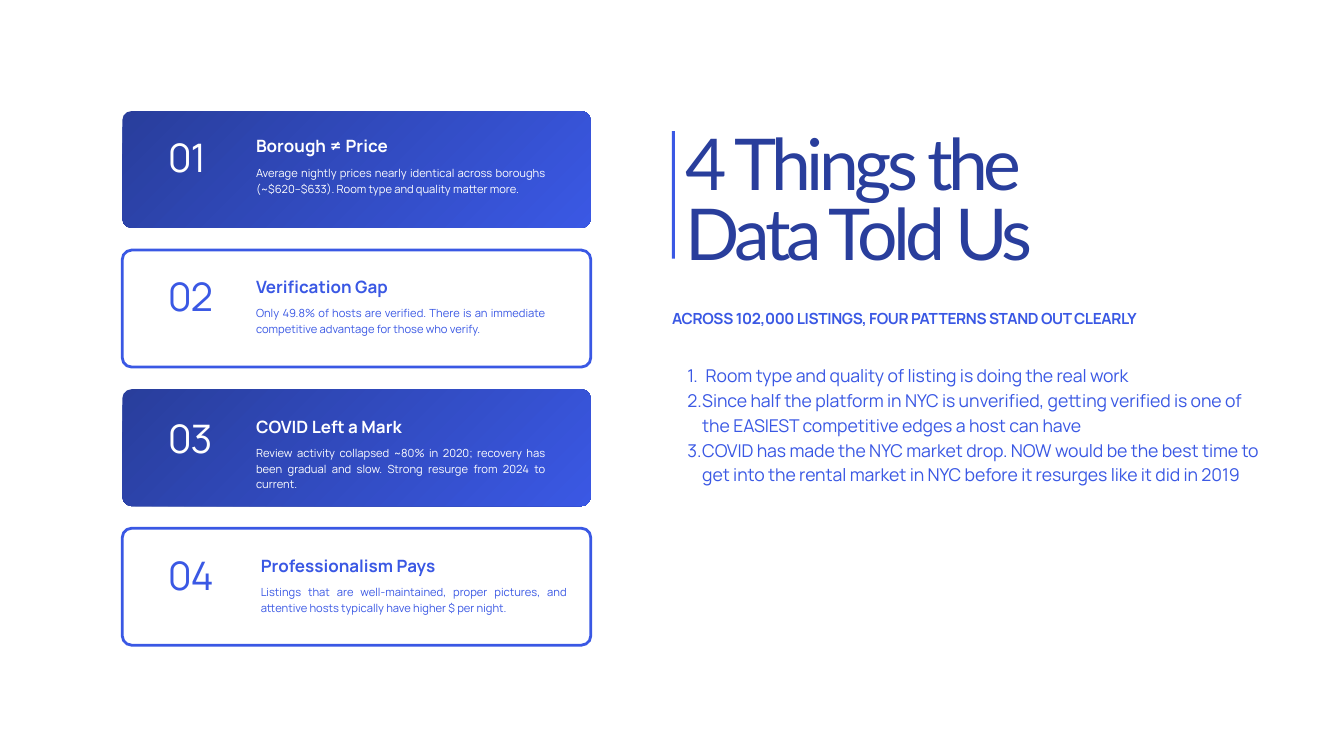
from dataclasses import dataclass

from lxml import etree
from pptx import Presentation
from pptx.dml.color import RGBColor
from pptx.enum.shapes import MSO_SHAPE
from pptx.enum.text import MSO_ANCHOR, MSO_AUTO_SIZE, PP_ALIGN
from pptx.oxml.ns import qn
from pptx.util import Pt

RECTANGLE = MSO_SHAPE.RECTANGLE
ROUNDED = MSO_SHAPE.ROUNDED_RECTANGLE
TOP = MSO_ANCHOR.TOP
NO_AUTOFIT = MSO_AUTO_SIZE.NONE
LEFT = PP_ALIGN.LEFT
JUSTIFY = PP_ALIGN.JUSTIFY

COLORS = {"navy": "293E9C", "blue": "3A58E4", "white": "FFFFFF"}


def rgb(name):
    return RGBColor.from_string(COLORS[name])


@dataclass
class TextStyle:
    size: float
    leading: float
    color: str = "blue"
    font: str = "Manrope"
    bold: bool = False
    tracking: float = 0
    align: PP_ALIGN = LEFT


@dataclass
class Card:
    number: str
    heading: str
    body: str
    filled: bool
    number_offset: float
    heading_offset: float
    text_left: float = 274.3
    heading_width: float = 248.4
    body_width: float = 310.3


class SlideBuilder:
    def __init__(self, slide):
        self.slide = slide

    def place(self, shape, left, top, width, height):
        shape.left, shape.top = Pt(left), Pt(top)
        shape.width, shape.height = Pt(width), Pt(height)

    def set_text(self, shape, paragraphs, style, numbered=False):
        frame = shape.text_frame
        frame.word_wrap = True
        frame.auto_size = NO_AUTOFIT
        frame.vertical_anchor = TOP
        frame.margin_left = frame.margin_right = 0
        frame.margin_top = frame.margin_bottom = 0
        for index, wording in enumerate(paragraphs):
            paragraph = frame.paragraphs[0] if index == 0 else frame.add_paragraph()
            if numbered:
                self.number_paragraph(paragraph)
            paragraph.alignment = style.align
            paragraph.line_spacing = Pt(style.leading)
            run = paragraph.add_run()
            run.text = wording
            run.font.name = style.font
            run.font.size = Pt(style.size)
            run.font.bold = style.bold
            run.font.color.rgb = rgb(style.color)
            if style.tracking:
                run._r.get_or_add_rPr().set("spc", str(round(style.tracking * 100)))

    def number_paragraph(self, paragraph):
        """Give the paragraph an automatic number and a hanging indent."""
        properties = paragraph._p.get_or_add_pPr()
        properties.set("marL", str(Pt(32.4)))
        properties.set("indent", str(Pt(-16)))
        etree.SubElement(properties, qn("a:buAutoNum"), type="arabicPeriod")

    def title(self, wording, box, style):
        placeholder = self.slide.shapes.title
        self.place(placeholder, *box)
        self.set_text(placeholder, [wording], style)

    def text(self, paragraphs, box, style, numbered=False):
        textbox = self.slide.shapes.add_textbox(*map(Pt, box))
        self.set_text(textbox, paragraphs, style, numbered)

    def bar(self, box):
        bar = self.slide.shapes.add_shape(RECTANGLE, *map(Pt, box))
        bar.shadow.inherit = False
        bar.fill.solid()
        bar.fill.fore_color.rgb = rgb("blue")
        bar.line.fill.background()

    def panel(self, box, filled):
        panel = self.slide.shapes.add_shape(ROUNDED, *map(Pt, box))
        panel.adjustments[0] = 0.08
        panel.shadow.inherit = False
        if filled:
            panel.fill.gradient()
            panel.fill.gradient_angle = 315
            for stop, color, position in zip(
                panel.fill.gradient_stops, ("navy", "blue"), (0, 1)
            ):
                stop.color.rgb = rgb(color)
                stop.position = position
            panel.line.fill.background()
        else:
            panel.fill.background()
            panel.line.color.rgb = rgb("blue")
            panel.line.width = Pt(3)

    def card(self, card, top):
        color = "white" if card.filled else "blue"
        heading_top = top + card.heading_offset
        self.panel((131, top, 502, 125.3), card.filled)
        self.text(
            [card.heading],
            (card.text_left, heading_top, card.heading_width, 25),
            TextStyle(18.2, 27.7, color, bold=True, align=JUSTIFY),
        )
        self.text(
            [card.body],
            (card.text_left, heading_top + 36, card.body_width, 49),
            TextStyle(12, 16.8, color, align=JUSTIFY),
        )
        self.text(
            [card.number],
            (180, top + card.number_offset, 72, 45.4),
            TextStyle(42.1, 37.9, color, tracking=-1.3),
        )


CARDS = [
    Card(
        "01", "Borough ≠ Price",
        "Average nightly prices nearly identical across boroughs (~$620–$633). "
        "Room type and quality matter more.",
        True, 36.5, 20.8,
    ),
    Card(
        "02", "Verification Gap",
        "Only 49.8% of hosts are verified. There is an immediate competitive "
        "advantage for those who verify.",
        False, 35.8, 22.2,
    ),
    Card(
        "03", "COVID Left a Mark",
        "Review activity collapsed ~80% in 2020; recovery has been gradual and "
        "slow. Strong resurge from 2024 to current.",
        True, 39.5, 22.9,
    ),
    Card(
        "04", "Professionalism Pays",
        "Listings that are well-maintained, proper pictures, and attentive hosts "
        "typically have higher $ per night.",
        False, 37.4, 23, 279.4, 262.8, 328.3,
    ),
]
FIRST_CARD_TOP = 119
CARD_PITCH = 149

TAKEAWAYS = [
    " Room type and quality of listing is doing the real work",
    "Since half the platform in NYC is unverified, getting verified is one of "
    "the EASIEST competitive edges a host can have",
    "COVID has made the NYC market drop. NOW would be the best time to get into "
    "the rental market in NYC before it resurges like it did in 2019",
]


def main():
    deck = Presentation()
    deck.slide_width, deck.slide_height = Pt(1440), Pt(810)
    builder = SlideBuilder(deck.slides.add_slide(deck.slide_layouts[5]))

    builder.title(
        "4 Things the Data Told Us",
        (735, 144, 386.6, 154.8),
        TextStyle(76.6, 75.1, "navy", "Lato", tracking=-4.9),
    )
    builder.bar((720, 140.4, 3, 136.8))
    builder.text(
        ["ACROSS 102,000 LISTINGS, FOUR PATTERNS STAND OUT CLEARLY"],
        (720, 327.6, 502.6, 21.6),
        TextStyle(16.4, 23, bold=True, tracking=-0.4, align=JUSTIFY),
    )
    builder.text(
        TAKEAWAYS,
        (720, 387.4, 637.2, 154.8),
        TextStyle(18.9, 26.5, tracking=-0.1),
        numbered=True,
    )
    for index, card in enumerate(CARDS):
        builder.card(card, FIRST_CARD_TOP + index * CARD_PITCH)

    deck.save("out.pptx")


if __name__ == "__main__":
    main()
